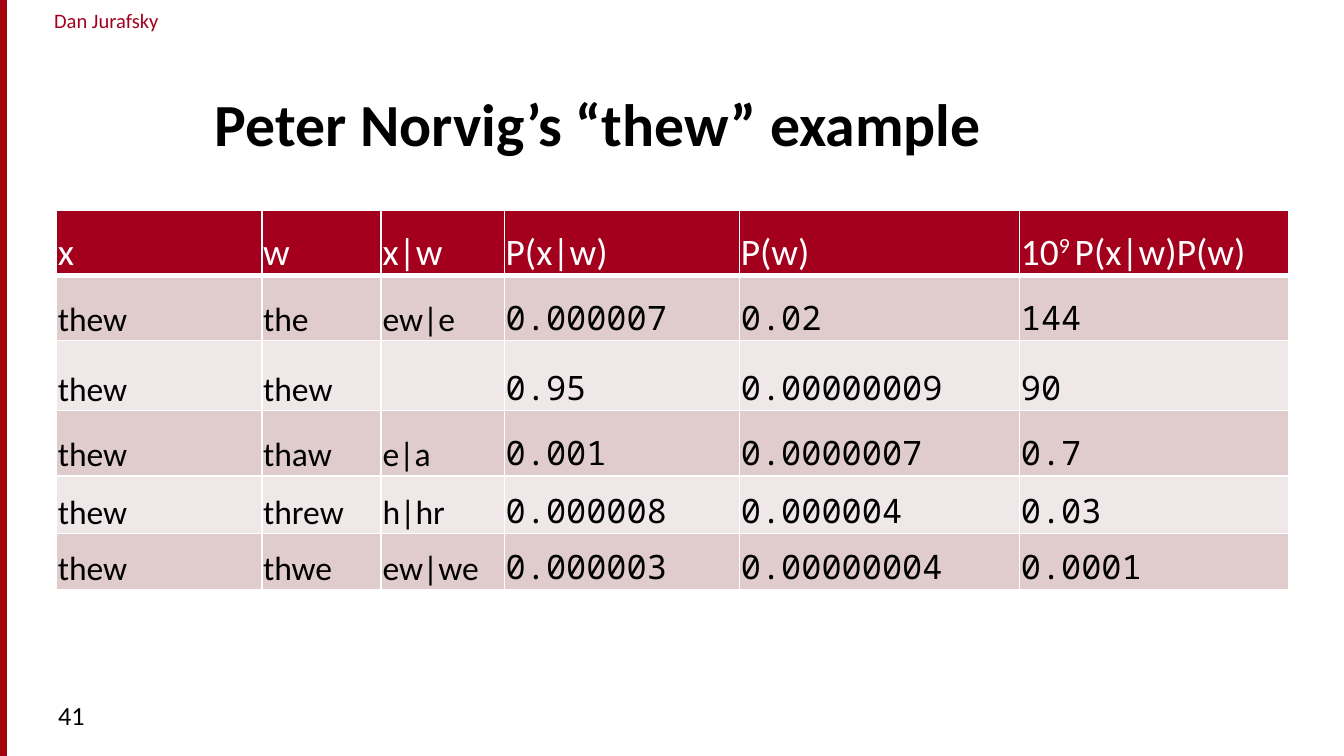
import dataclasses

import lxml.etree
import pptx
import pptx.dml.color
import pptx.enum.shapes
import pptx.enum.text
import pptx.oxml.ns
import pptx.util

Pt = pptx.util.Pt
Anchor = pptx.enum.text.MSO_ANCHOR
Align = pptx.enum.text.PP_ALIGN


@dataclasses.dataclass(frozen=True)
class Theme:
    red: str = "A4001D"
    bar: str = "A40508"
    black: str = "000000"
    white: str = "FFFFFF"
    bands: tuple = ("E0CCCD", "F0E7E8")
    sans: str = "Calibri"
    mono: str = "Noto Sans Mono"
    author_size: float = 11
    title_size: float = 32
    number_size: float = 14
    header_size: float = 20
    body_size: float = 18


THEME = Theme()
COLUMN_WIDTHS = [110, 64, 66, 126, 150, 144]
ROW_HEIGHTS = [35, 35, 37.5, 35, 31, 30]
FIRST_NUMBER_COLUMN = 3
ROWS = [
    ["x", "w", "x|w", "P(x|w)", "P(w)", ("10", "9 ", "P(x|w)P(w)")],
    ["thew", "the", "ew|e", "0.000007", "0.02", "144"],
    ["thew", "thew", "", "0.95", "0.00000009", "90"],
    ["thew", "thaw", "e|a", "0.001", "0.0000007", "0.7"],
    ["thew", "threw", "h|hr", "0.000008", "0.000004", "0.03"],
    ["thew", "thwe", "ew|we", "0.000003", "0.00000004", "0.0001"],
]


def rgb(value):
    return pptx.dml.color.RGBColor.from_string(value)


def style(para, size, color, family=THEME.sans, bold=False):
    font = para.font
    font.size, font.name, font.bold = Pt(size), family, bold
    font.color.rgb = rgb(color)


def add_text(page, box, text, size, color, bold=False, anchor=Anchor.TOP,
             align=Align.LEFT, insets=(7.2, 3.6)):
    frame = page.shapes.add_textbox(*map(Pt, box)).text_frame
    frame.word_wrap = True
    frame.vertical_anchor = anchor
    frame.margin_left = frame.margin_right = Pt(insets[0])
    frame.margin_top = frame.margin_bottom = Pt(insets[1])
    para = frame.paragraphs[0]
    para.text = text
    para.alignment = align
    style(para, size, color, bold=bold)


def add_side_bar(page, box):
    bar = page.shapes.add_shape(
        pptx.enum.shapes.MSO_SHAPE.RECTANGLE, *map(Pt, box))
    bar.shadow.inherit = False
    bar.fill.solid()
    bar.fill.fore_color.rgb = rgb(THEME.bar)
    bar.line.color.rgb = rgb(THEME.red)
    bar.line.width = Pt(0.75)


def add_borders(cell, widths):
    properties = cell._tc.get_or_add_tcPr()
    for index, (side, width) in enumerate(widths.items()):
        line = lxml.etree.Element(
            pptx.oxml.ns.qn(f"a:ln{side}"), w=str(Pt(width)))
        fill = lxml.etree.SubElement(line, pptx.oxml.ns.qn("a:solidFill"))
        lxml.etree.SubElement(
            fill, pptx.oxml.ns.qn("a:srgbClr"), val=THEME.white)
        properties.insert(index, line)


def fill_cell(cell, content, row, column):
    header = row == 0
    cell.vertical_anchor = Anchor.BOTTOM
    cell.margin_left = cell.margin_right = cell.margin_top = Pt(0.72)
    cell.margin_bottom = 0
    cell.fill.solid()
    cell.fill.fore_color.rgb = rgb(
        THEME.red if header else THEME.bands[(row - 1) % 2])
    add_borders(cell, {"L": 1, "R": 1, "T": 3 if row == 1 else 1,
                       "B": 3 if header else 1})
    para = cell.text_frame.paragraphs[0]
    if isinstance(content, tuple):
        for part in content:
            para.add_run().text = part
        para.runs[1]._r.get_or_add_rPr().set("baseline", "30000")
    else:
        para.text = content
    if header:
        style(para, THEME.header_size, THEME.white)
    else:
        numeric = column >= FIRST_NUMBER_COLUMN
        style(para, THEME.body_size, THEME.black,
              THEME.mono if numeric else THEME.sans)


def add_probability_table(page, left, top):
    table = page.shapes.add_table(
        len(ROWS), len(COLUMN_WIDTHS), Pt(left), Pt(top),
        Pt(sum(COLUMN_WIDTHS)), Pt(sum(ROW_HEIGHTS))).table
    for column, width in zip(table.columns, COLUMN_WIDTHS):
        column.width = Pt(width)
    for row, height in zip(table.rows, ROW_HEIGHTS):
        row.height = Pt(height)
    for row, contents in enumerate(ROWS):
        for column, content in enumerate(contents):
            fill_cell(table.cell(row, column), content, row, column)


def add_example_slide(deck, box):
    page = deck.slides.add_slide(deck.slide_layouts[6])
    left, top, width, height = box
    add_text(page, (left + 6, top + 0.72, 102, 21), "Dan Jurafsky",
             THEME.author_size, THEME.red, align=Align.CENTER,
             insets=(0, 3.6))
    add_side_bar(page, (left, top, 3.6, height))
    add_text(page, (left + 108, top + 30, width - 132, 58.5),
             "Peter Norvig’s “thew” example", THEME.title_size,
             THEME.black, bold=True, anchor=Anchor.BOTTOM)
    add_text(page, (left + 24, top + height - 34, 156, 27), "41",
             THEME.number_size, THEME.black)
    add_probability_table(page, left + 30.25, top + 112.5)


deck = pptx.Presentation()
deck.slide_width, deck.slide_height = Pt(720), Pt(405)
add_example_slide(deck, (0, 0, 720, 405))
deck.save("out.pptx")
